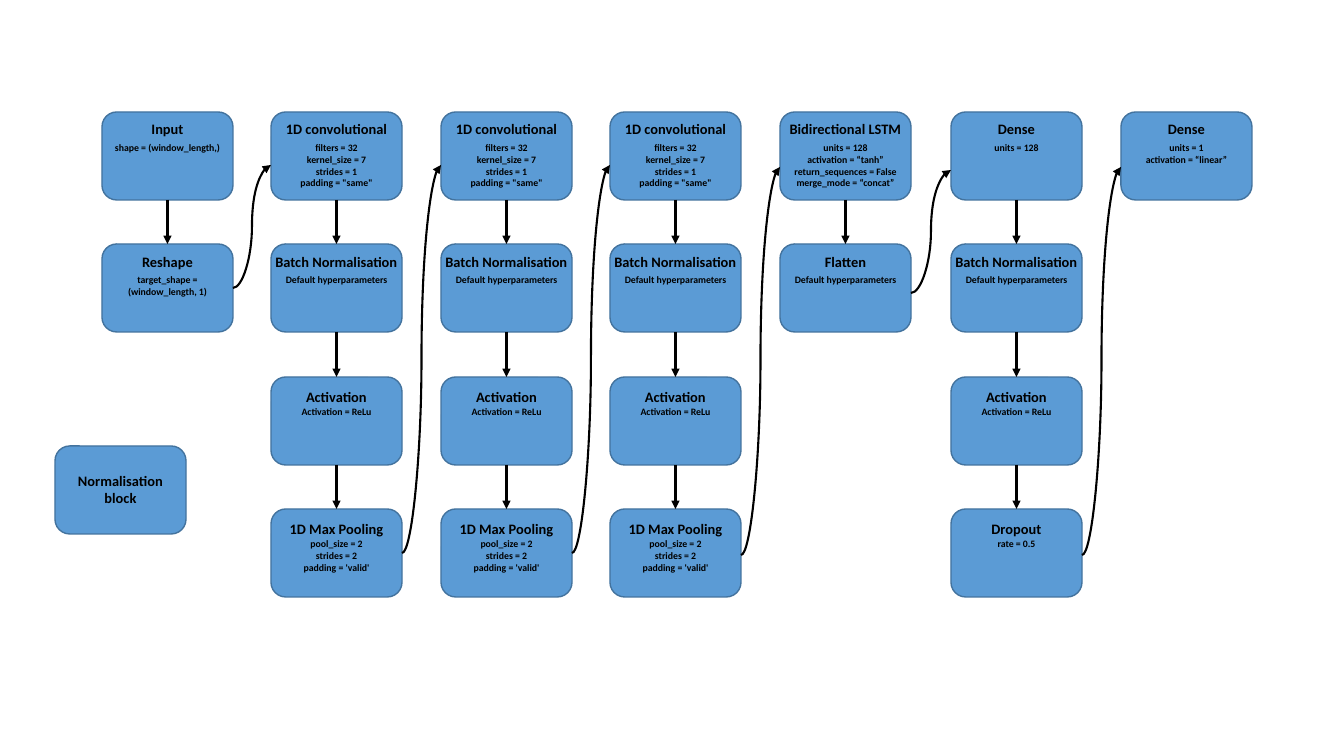
from dataclasses import dataclass
from itertools import pairwise

from lxml import etree
from pptx import Presentation
from pptx.dml.color import RGBColor
from pptx.enum.shapes import MSO_CONNECTOR, MSO_SHAPE
from pptx.enum.text import MSO_AUTO_SIZE, PP_ALIGN
from pptx.oxml.ns import qn
from pptx.shapes.autoshape import Shape
from pptx.shapes.connector import Connector
from pptx.util import Pt

ROUNDED = MSO_SHAPE.ROUNDED_RECTANGLE
STRAIGHT, CURVE = MSO_CONNECTOR.STRAIGHT, MSO_CONNECTOR.CURVE
FIT_TEXT = MSO_AUTO_SIZE.SHAPE_TO_FIT_TEXT
CENTER = PP_ALIGN.CENTER
TOP_SITE, BOTTOM_SITE = 0, 2

EMU_PER_PX = 914400 / 100.8


def px(length: float) -> int:
    return round(length * EMU_PER_PX)


@dataclass(frozen=True)
class Theme:
    font: str = "Calibri"
    box_fill: RGBColor = RGBColor(0x5B, 0x9B, 0xD5)
    box_line: RGBColor = RGBColor(0x43, 0x73, 0x9E)
    ink: RGBColor = RGBColor(0, 0, 0)
    title_size: float = 10.3
    detail_size: float = 7
    outline_width: float = 1
    arrow_width: float = 1.5


@dataclass(frozen=True)
class Layer:
    title: str
    title_width: int
    details: tuple[str, ...]
    detail_lines: int


@dataclass(frozen=True)
class Stage:
    left: int
    layers: tuple[Layer, ...]
    exit_shift: int = 0  # lowers the arrow that leads to the next stage


def layer(title: str, title_width: int, *details: str, lines: int = 0) -> Layer:
    return Layer(title, title_width, details, lines or len(details))


THEME = Theme()
BOX_WIDTH, BOX_HEIGHT = 131, 88
FIRST_TOP, ROW_PITCH = 112, 132.3
TITLE_DROPS = (3, 4, 6, 6)
DETAIL_DROPS = (25, 25, 24, 24)
ENTRY_DROP = 53
TITLE_HEIGHT = 27

# Network layers, stage by stage
CONVOLUTION = layer("1D convolutional", 123, "filters = 32", "kernel_size = 7",
                    "strides = 1", 'padding = "same"')
BATCH_NORM = layer("Batch Normalisation", 142, "Default hyperparameters")
ACTIVATION = layer("Activation", 82, "Activation = ReLu")
POOLING = layer("1D Max Pooling", 121, "pool_size = 2", "strides = 2",
                "padding = 'valid'")
CONV_LAYERS = (CONVOLUTION, BATCH_NORM, ACTIVATION, POOLING)

STAGES = (
    Stage(102, (
        layer("Input", 55, "shape = (window_length,)"),
        layer("Reshape", 74, "target_shape = (window_length, 1)", lines=2),
    )),
    Stage(271, CONV_LAYERS),
    Stage(441, CONV_LAYERS),
    Stage(610, CONV_LAYERS, exit_shift=2),
    Stage(780, (
        layer("Bidirectional LSTM", 136, "units = 128", "activation = “tanh”",
              "return_sequences = False", "merge_mode = “concat”"),
        layer("Flatten", 69, "Default hyperparameters"),
    ), exit_shift=5),
    Stage(951, (
        layer("Dense", 61, "units = 128"),
        BATCH_NORM,
        ACTIVATION,
        layer("Dropout", 82, "rate = 0.5"),
    ), exit_shift=2),
    Stage(1121, (layer("Dense", 61, "units = 1", "activation = “linear”"),)),
)

deck = Presentation()
deck.slide_width, deck.slide_height = px(1344), px(756)
slide = deck.slides.add_slide(deck.slide_layouts[6])


def row_top(row: int) -> int:
    return round(FIRST_TOP + row * ROW_PITCH)


def add_box(left: int, top: int) -> Shape:
    box = slide.shapes.add_shape(ROUNDED, px(left), px(top),
                                 px(BOX_WIDTH), px(BOX_HEIGHT))
    box.shadow.inherit = False
    box.fill.solid()
    box.fill.fore_color.rgb = THEME.box_fill
    box.line.color.rgb = THEME.box_line
    box.line.width = Pt(THEME.outline_width)
    return box


def add_text(lines: tuple[str, ...], left: float, top: int, width: int,
             height: int, size: float, wrap: bool = True) -> None:
    frame = slide.shapes.add_textbox(px(left), px(top), px(width),
                                     px(height)).text_frame
    frame.word_wrap = wrap
    frame.auto_size = FIT_TEXT
    frame.text = "\n".join(lines)
    for paragraph in frame.paragraphs:
        paragraph.alignment = CENTER
        paragraph.font.name = THEME.font
        paragraph.font.size = Pt(size)
        paragraph.font.bold = True
        paragraph.font.color.rgb = THEME.ink


def add_arrow(kind: MSO_CONNECTOR, start: tuple[int, int],
              end: tuple[int, int]) -> Connector:
    arrow = slide.shapes.add_connector(kind, *map(px, start + end))
    arrow.line.color.rgb = THEME.ink
    arrow.line.width = Pt(THEME.arrow_width)
    etree.SubElement(arrow.line._get_or_add_ln(), qn("a:tailEnd"), type="triangle")
    etree.SubElement(arrow._element.spPr, qn("a:effectLst"))
    return arrow


def add_layer(content: Layer, left: int, row: int) -> Shape:
    top = row_top(row)
    box = add_box(left, top)
    title_left = left + (BOX_WIDTH - content.title_width) / 2
    add_text((content.title,), title_left, top + TITLE_DROPS[row],
             content.title_width, TITLE_HEIGHT, THEME.title_size, wrap=False)
    add_text(content.details, left, top + DETAIL_DROPS[row], BOX_WIDTH,
             10 + 12 * content.detail_lines, THEME.detail_size)
    return box


# Layer boxes with downward arrows
for stage in STAGES:
    boxes = [add_layer(content, stage.left, row)
             for row, content in enumerate(stage.layers)]
    middle = stage.left + BOX_WIDTH // 2
    for row, (upper, lower) in enumerate(pairwise(boxes)):
        down = add_arrow(STRAIGHT, (middle, row_top(row) + BOX_HEIGHT),
                         (middle, row_top(row + 1)))
        down.begin_connect(upper, BOTTOM_SITE)
        down.end_connect(lower, TOP_SITE)

# Curved arrows from the last layer of a stage to the next stage
for stage, following in pairwise(STAGES):
    last_top = row_top(len(stage.layers) - 1)
    add_arrow(CURVE,
              (stage.left + BOX_WIDTH, last_top + BOX_HEIGHT // 2 + stage.exit_shift),
              (following.left, FIRST_TOP + ENTRY_DROP + stage.exit_shift))

# Separate normalisation block
add_box(55, 446)
add_text(("Normalisation block",), 55, 467, BOX_WIDTH, 45, THEME.title_size)

deck.save("out.pptx")
